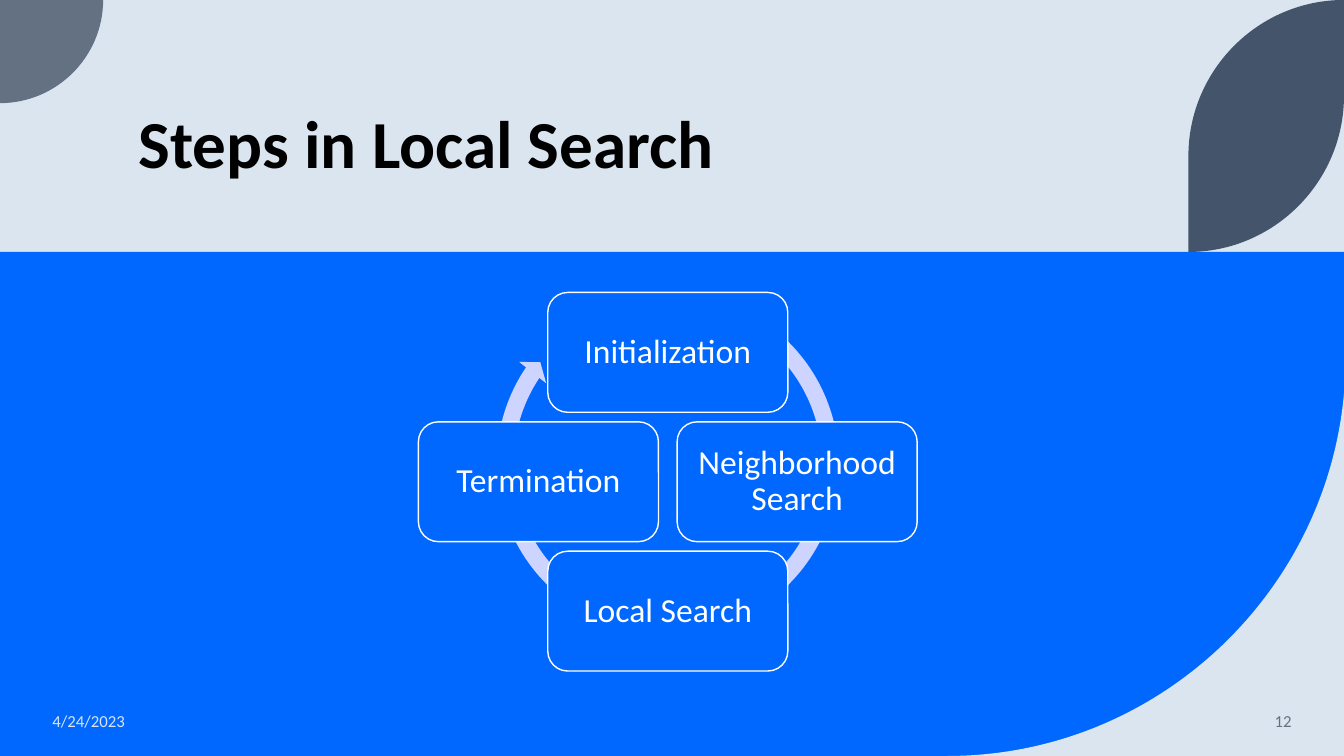
from math import cos, pi, sin

from lxml.etree import SubElement
from pptx import Presentation
from pptx.dml.color import RGBColor
from pptx.enum.shapes import MSO_SHAPE
from pptx.enum.text import MSO_ANCHOR, PP_ALIGN
from pptx.oxml.ns import qn
from pptx.util import Cm, Pt

WIDTH, HEIGHT = 33.87, 19.05
BAND_TOP, BAND_WIDTH = 6.35, 33.91
PALE, BLUE, SLATE, NAVY = "DAE5EF", "0068FF", "637183", "44546A"
ARROW_TINT, WHITE, BLACK = "CCD4FF", "FFFFFF", "000000"


def color(value):
    """Turn a hex string into a colour."""
    return RGBColor.from_string(value)


def quarter(start, corner, end):
    """Return the Bezier points of a quarter ellipse bulging towards a corner."""
    pull = 0.55
    controls = [tuple(a + pull * (b - a) for a, b in zip(point, corner))
                for point in (start, end)]
    return [*controls, end]


def write(shape, text, size=12, fill=WHITE, bold=False, font="Calibri",
          align=PP_ALIGN.LEFT, anchor=MSO_ANCHOR.MIDDLE, spacing=1.0, inset=None):
    """Put formatted text into a shape."""
    frame = shape.text_frame
    frame.word_wrap = True
    frame.vertical_anchor = anchor
    if inset is not None:
        frame.margin_left = frame.margin_right = Cm(inset)
        frame.margin_top = frame.margin_bottom = Cm(inset)
    paragraph = frame.paragraphs[0]
    paragraph.alignment = align
    paragraph.line_spacing = spacing
    run = paragraph.add_run()
    run.text = text
    run.font.name = font
    run.font.size = Pt(size)
    run.font.bold = bold
    run.font.color.rgb = color(fill)


class SlideBuilder:
    """Hold the shared style and the slide being built."""

    def __init__(self, slide, background):
        """Keep the slide and paint its background."""
        self.slide = slide
        slide.background.fill.solid()
        slide.background.fill.fore_color.rgb = color(background)

    def paint(self, shape, fill, line=None):
        """Give a shape a flat fill and an optional thin outline."""
        shape.shadow.inherit = False
        shape.fill.solid()
        shape.fill.fore_color.rgb = color(fill)
        if line:
            shape.line.color.rgb = color(line)
            shape.line.width = Pt(1)
        else:
            shape.line.fill.background()
        return shape

    def preset(self, kind, left, top, width, height, fill, line=None):
        """Add a preset shape."""
        shape = self.slide.shapes.add_shape(
            kind, Cm(left), Cm(top), Cm(width), Cm(height))
        return self.paint(shape, fill, line)

    def outline(self, start, segments, fill):
        """Add a closed freeform; one point makes a line, three make a curve."""
        builder = self.slide.shapes.build_freeform(*map(Cm, start))
        builder.add_line_segments(
            [(Cm(x), Cm(y)) for segment in segments for x, y in segment], close=True)
        shape = self.paint(builder.convert_to_shape(), fill)
        geometry = next(shape.element.iter(qn("a:path")))
        lines = iter(geometry.findall(qn("a:lnTo")))
        for segment in segments:
            parts = [next(lines) for _ in segment]
            if len(parts) == 3:
                curve = SubElement(geometry, qn("a:cubicBezTo"))
                parts[0].addprevious(curve)
                for part in parts:
                    curve.append(part[0])
                    geometry.remove(part)

    def label(self, text, left, top, width, height, **style):
        """Add a text box."""
        box = self.slide.shapes.add_textbox(
            Cm(left), Cm(top), Cm(width), Cm(height))
        write(box, text, **style)


def add_backdrop(builder):
    """Draw the blue band and the rounded corner ornaments."""
    builder.preset(MSO_SHAPE.RECTANGLE, 0, BAND_TOP, BAND_WIDTH,
                   HEIGHT - BAND_TOP, BLUE)
    radius = 10.03
    corner = (BAND_WIDTH, HEIGHT)
    start, end = (BAND_WIDTH, HEIGHT - radius), (BAND_WIDTH - radius, HEIGHT)
    builder.outline(start, [quarter(start, corner, end), [corner]], PALE)

    dot = 2.6
    builder.outline((0, 0), [[(dot, 0)], quarter((dot, 0), (dot, dot), (0, dot))],
                    SLATE)

    leaf_left, leaf_radius = 29.95, 3.93
    right_end = (WIDTH, BAND_TOP - leaf_radius)
    bottom_end = (leaf_left, BAND_TOP)
    left_end = (leaf_left, leaf_radius)
    tip = (WIDTH, 0)
    builder.outline(tip, [[right_end],
                          quarter(right_end, (WIDTH, BAND_TOP), bottom_end),
                          [left_end],
                          quarter(left_end, (leaf_left, 0), tip)], NAVY)


def add_cycle(builder, steps):
    """Draw the circular arrow and the steps clockwise from the top."""
    center_x, center_y, radius = 16.83, 12.14, 3.26
    box_width, box_height = 6.05, 3.02
    size, arrow_top = 9.07, 7.14
    arrow = builder.preset(MSO_SHAPE.CIRCULAR_ARROW, center_x - size / 2,
                           arrow_top, size, size, ARROW_TINT)
    for index, value in enumerate((0.047, 2.729, 128.314, 180.308, 0.048)):
        arrow.adjustments[index] = value
    for index, step in enumerate(steps):
        angle = 2 * pi * index / len(steps)
        left = center_x + radius * sin(angle) - box_width / 2
        top = center_y - radius * cos(angle) - box_height / 2
        box = builder.preset(MSO_SHAPE.ROUNDED_RECTANGLE, left, top,
                             box_width, box_height, BLUE, WHITE)
        write(box, step, size=24, align=PP_ALIGN.CENTER, spacing=0.9, inset=0.25)


def main():
    """Build and save the slide."""
    presentation = Presentation()
    presentation.slide_width, presentation.slide_height = Cm(WIDTH), Cm(HEIGHT)
    slide = presentation.slides.add_slide(presentation.slide_layouts[6])
    builder = SlideBuilder(slide, PALE)
    add_backdrop(builder)
    builder.label("Steps in Local Search", 3.25, 1.07, 27.15, 3.68, size=48,
                  fill=BLACK, bold=True, anchor=MSO_ANCHOR.BOTTOM, spacing=0.9)
    add_cycle(builder, ["Initialization", "Neighborhood Search",
                        "Local Search", "Termination"])
    builder.label("4/24/2023", 1.07, 17.65, 7.62, 1.02, fill=PALE)
    builder.label("12", 28.35, 17.65, 4.45, 1.02, fill=SLATE, align=PP_ALIGN.RIGHT)
    presentation.save("out.pptx")


main()
